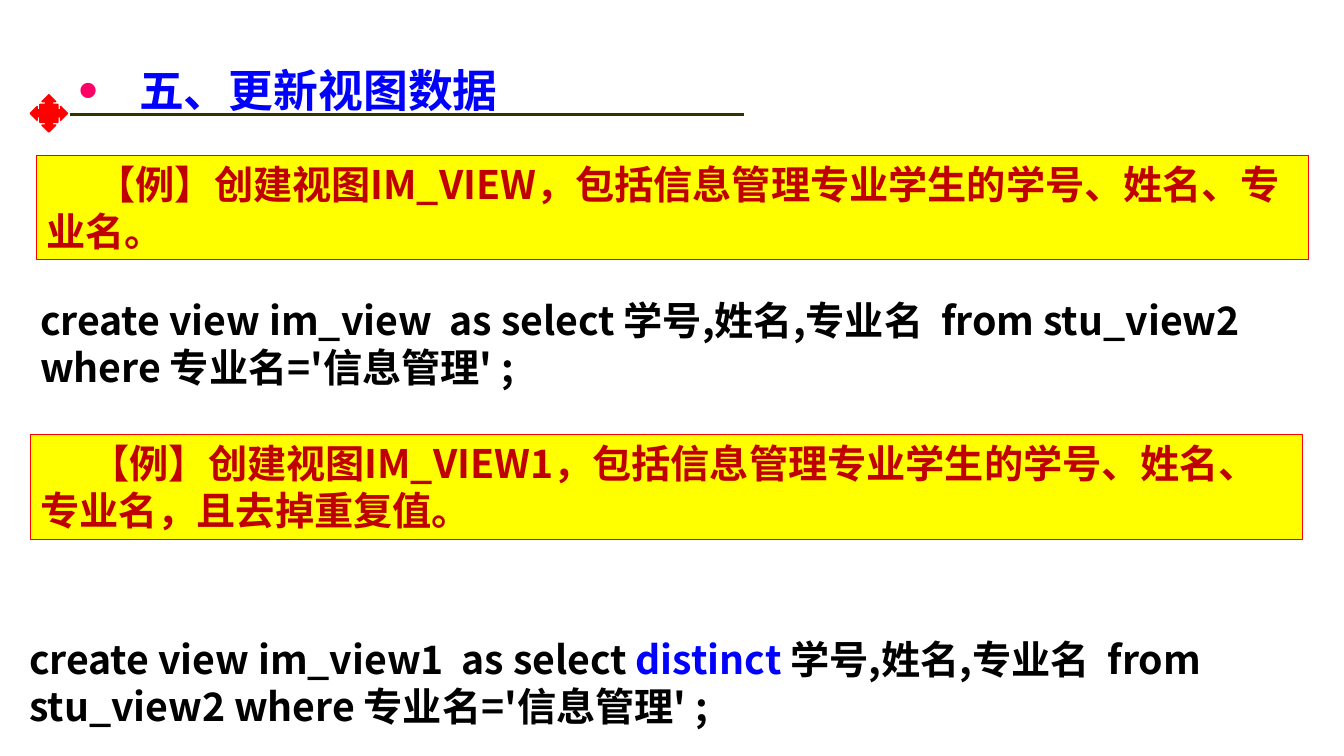
from lxml.etree import SubElement
from pptx import Presentation
from pptx.dml.color import RGBColor
from pptx.enum.shapes import MSO_CONNECTOR, MSO_SHAPE
from pptx.enum.text import MSO_ANCHOR, PP_ALIGN
from pptx.oxml.ns import qn
from pptx.util import Inches, Pt

# Content: each paragraph is a list of (text, colour name) runs
TITLE = [(" ", "blue"), ("五、更新视图数据", "blue")]
EXAMPLES = [
    [("【例】创建视图IM_VIEW，包括信息管理专业学生的学号、姓名、专业名。", "dark red")],
    [("【例】创建视图IM_VIEW1，包括信息管理专业学生的学号、姓名、专业名，且去掉重复值。", "dark red")],
]
STATEMENTS = [
    [("create view im_view  as select 学号,姓名,专业名  from stu_view2 where 专业名='信息管理' ;", "black")],
    [
        ("create view im_view1  as select ", "black"),
        ("distinct", "blue"),
        (" 学号,姓名,专业名  from stu_view2 where 专业名='信息管理' ;", "black"),
    ],
]
COLOURS = {
    "blue": "0000FF", "dark red": "C00000", "black": "000000", "red": "FF0000",
    "yellow": "FFFF00", "pink": "FF0066", "olive": "333300",
}
FONT = "Noto Sans CJK SC"

# Layout, in percent of the slide's width and height
TITLE_AREA = (5.1, 7.2, 34.13, 10.27)
MARKER_AREA = (2.25, 12.53, 2.78, 4.93)
RULE_START, RULE_END, RULE_TOP = 5.18, 55.36, 15.2
EXAMPLE_CORNERS = [(2.7, 20.53), (2.25, 57.47)]
STATEMENT_CORNERS = [(2.25, 38.53), (1.43, 83.33)]
EXAMPLE_WIDTH, STATEMENT_WIDTH, TEXT_HEIGHT = 94.67, 96.32, 13.87

presentation = Presentation()
presentation.slide_width, presentation.slide_height = Inches(13.33), Inches(7.5)
slide = presentation.slides.add_slide(presentation.slide_layouts[6])


def colour(name):
    return RGBColor.from_string(COLOURS[name])


def across(share):
    return round(presentation.slide_width * share / 100)


def down(share):
    return round(presentation.slide_height * share / 100)


def place(left, top, width, height):
    return across(left), down(top), across(width), down(height)


def write(shape, runs, size, anchor=MSO_ANCHOR.TOP):
    """Fill the shape with one bold paragraph and return it."""
    text_frame = shape.text_frame
    text_frame.word_wrap = True
    text_frame.vertical_anchor = anchor
    paragraph = text_frame.paragraphs[0]
    paragraph.alignment = PP_ALIGN.LEFT
    for text, colour_name in runs:
        run = paragraph.add_run()
        run.text = text
        run.font.size, run.font.bold, run.font.name = Pt(size), True, FONT
        run.font.color.rgb = colour(colour_name)
        SubElement(run.font._element, qn("a:ea"), typeface=FONT)
    return paragraph


def add_filled(kind, area, fill, line_width):
    shape = slide.shapes.add_shape(kind, *place(*area))
    shape.shadow.inherit = False
    shape.fill.solid()
    shape.fill.fore_color.rgb = colour(fill)
    shape.line.color.rgb = colour("red")
    shape.line.width = Pt(line_width)
    return shape


# Title with its bullet
title = slide.shapes.add_textbox(*place(*TITLE_AREA))
heading = write(title, TITLE, 32, MSO_ANCHOR.MIDDLE)
properties = heading._p.get_or_add_pPr()
properties.set("marL", str(Inches(0.5)))
properties.set("indent", str(Inches(-0.5)))
bullet_colour = SubElement(properties, qn("a:buClr"))
SubElement(bullet_colour, qn("a:srgbClr"), val=COLOURS["pink"])
SubElement(properties, qn("a:buSzPct"), val="125000")
SubElement(properties, qn("a:buFont"), typeface="Arial")
SubElement(properties, qn("a:buChar"), char="•")
heading.line_spacing = 0.9

# Rule and marker under the title
rule = slide.shapes.add_connector(
    MSO_CONNECTOR.STRAIGHT, across(RULE_START), down(RULE_TOP), across(RULE_END), down(RULE_TOP)
)
rule.line.color.rgb = colour("olive")
rule.line.width = Pt(2)
SubElement(rule._element.spPr, qn("a:effectLst"))
add_filled(MSO_SHAPE.QUAD_ARROW_CALLOUT, MARKER_AREA, "red", 1)

# Example boxes
for corner, runs in zip(EXAMPLE_CORNERS, EXAMPLES):
    box = add_filled(MSO_SHAPE.RECTANGLE, (*corner, EXAMPLE_WIDTH, TEXT_HEIGHT), "yellow", 0.75)
    example = write(box, runs, 28)
    example._p.get_or_add_pPr().set("indent", str(Inches(0.5)))

# SQL statements
for corner, runs in zip(STATEMENT_CORNERS, STATEMENTS):
    statement_box = slide.shapes.add_textbox(*place(*corner, STATEMENT_WIDTH, TEXT_HEIGHT))
    write(statement_box, runs, 28)

presentation.save("out.pptx")
